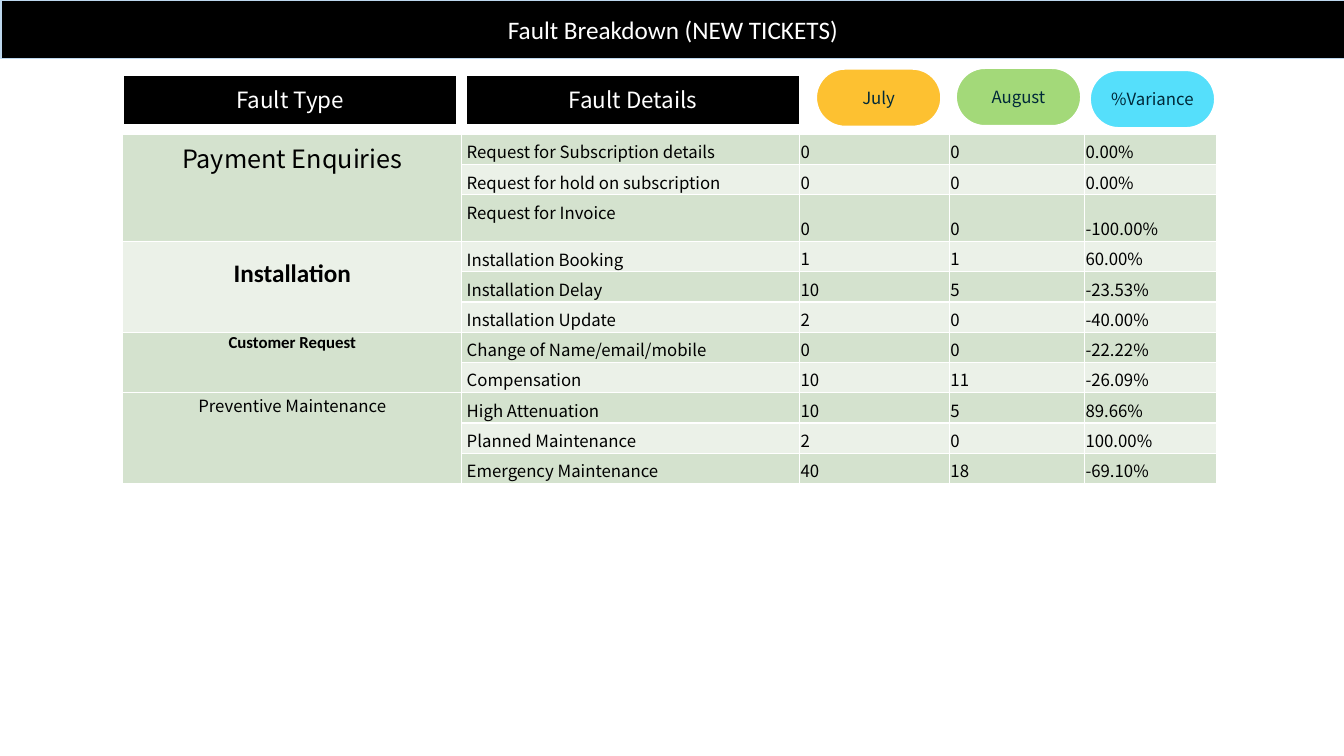
"""Build the fault breakdown slide for new tickets."""
import dataclasses
import itertools

import pptx
import pptx.dml.color
import pptx.enum.shapes
import pptx.enum.text
import pptx.oxml
import pptx.oxml.ns
import pptx.util

Pt = pptx.util.Pt
Align = pptx.enum.text.PP_ALIGN
Anchor = pptx.enum.text.MSO_ANCHOR
Preset = pptx.enum.shapes.MSO_SHAPE

COLOURS = {
    "black": "000000", "white": "FFFFFF", "title_line": "BDD7EE", "ink": "002939",
    "july": "FDC131", "august": "A3D979", "variance": "55DFFB",
    "dark_band": "D4E2CE", "light_band": "EBF1E8",
}
NOTO = "Noto Sans CJK KR"
CALIBRI = "Calibri"
COLUMN_WIDTHS = (242, 241.5, 107, 96.5, 94)
ROW_HEIGHT = 21.6
INVOICE_ROW, INVOICE_HEIGHT = 2, 29


@dataclasses.dataclass(frozen=True)
class Style:
    """Font, colour and alignment of one paragraph."""
    size: float
    face: str = NOTO
    colour: str = "black"
    bold: bool = False
    align: Align = Align.LEFT


@dataclasses.dataclass(frozen=True)
class Heading:
    """A filled shape above a table column."""
    text: str
    left: float
    top: float
    width: float
    height: float
    preset: Preset
    fill: str
    style: Style


@dataclasses.dataclass(frozen=True)
class Fault:
    """A fault type with its rows of details, July, August and variance."""
    name: str
    band: str
    style: Style
    inset: float
    rows: tuple[tuple[str, str, str, str], ...]
    anchor: Anchor = Anchor.TOP
    bottom_inset: float = 0


BAR_STYLE = Style(16, colour="white", align=Align.CENTER)
PILL_STYLE = Style(12, colour="ink", align=Align.CENTER)
BODY_STYLE = Style(12)
HEADINGS = (
    Heading("Fault Type", 87.8, 53.3, 239, 36, Preset.RECTANGLE, "black", BAR_STYLE),
    Heading("Fault Details", 332.6, 53.3, 239, 36, Preset.RECTANGLE, "black", BAR_STYLE),
    Heading("July", 582.6, 48.8, 90, 42, Preset.ROUNDED_RECTANGLE, "july", PILL_STYLE),
    Heading("August", 682.5, 48.3, 90, 42, Preset.ROUNDED_RECTANGLE, "august", PILL_STYLE),
    Heading("%Variance", 778.2, 49.8, 90, 42, Preset.ROUNDED_RECTANGLE, "variance", PILL_STYLE),
)
FAULTS = (
    Fault("Payment Enquiries", "dark_band", Style(18, align=Align.CENTER), 3.6, (
        ("Request for Subscription details", "0", "0", "0.00%"),
        ("Request for hold on subscription", "0", "0", "0.00%"),
        ("Request for Invoice", "0", "0", "-100.00%"),
    )),
    Fault("Installation", "light_band", Style(18, CALIBRI, bold=True, align=Align.CENTER), 0, (
        ("Installation Booking", "1", "1", "60.00%"),
        ("Installation Delay", "10", "5", "-23.53%"),
        ("Installation Update", "2", "0", "-40.00%"),
    ), Anchor.MIDDLE, 19),
    Fault("Customer Request", "dark_band", Style(12, CALIBRI, bold=True, align=Align.CENTER), 0, (
        ("Change of Name/email/mobile", "0", "0", "-22.22%"),
        ("Compensation", "10", "11", "-26.09%"),
    )),
    Fault("Preventive Maintenance", "dark_band", Style(12, align=Align.CENTER), 0, (
        ("High Attenuation", "10", "5", "89.66%"),
        ("Planned Maintenance", "2", "0", "100.00%"),
        ("Emergency Maintenance", "40", "18", "-69.10%"),
    )),
)


def colour(name: str) -> pptx.dml.color.RGBColor:
    """Return a named colour."""
    return pptx.dml.color.RGBColor.from_string(COLOURS[name])


def write(frame, text: str, style: Style) -> None:
    """Put one styled paragraph into a text frame."""
    para = frame.paragraphs[0]
    para.text = text
    para.alignment = style.align
    font = para.font
    font.size, font.name, font.bold = Pt(style.size), style.face, style.bold
    font.color.rgb = colour(style.colour)


def paint(shape, fill: str, line: str, width: float) -> None:
    """Fill and outline a shape."""
    shape.fill.solid()
    shape.fill.fore_color.rgb = colour(fill)
    shape.line.color.rgb = colour(line)
    shape.line.width = Pt(width)


def set_frame(frame, inset: float) -> None:
    """Centre the text of a shape vertically with equal insets."""
    frame.word_wrap = True
    frame.auto_size = pptx.enum.text.MSO_AUTO_SIZE.NONE
    frame.vertical_anchor = Anchor.MIDDLE
    frame.margin_left = frame.margin_right = frame.margin_top = frame.margin_bottom = Pt(inset)


def add_title(page) -> None:
    """Format the title placeholder as a band across the page."""
    title = page.shapes.title
    title.left, title.top, title.width, title.height = Pt(0.7), Pt(0), Pt(960), Pt(41.8)
    paint(title, "black", "title_line", 0.75)
    set_frame(title.text_frame, 3.6)
    write(title.text_frame, "Fault Breakdown (NEW TICKETS)",
          Style(18, CALIBRI, "white", align=Align.CENTER))


def add_heading(page, heading: Heading) -> None:
    """Draw one column heading."""
    box = page.shapes.add_shape(heading.preset, Pt(heading.left), Pt(heading.top),
                                Pt(heading.width), Pt(heading.height))
    if heading.preset == Preset.ROUNDED_RECTANGLE:
        box.adjustments[0] = 0.5
    box.shadow.inherit = False
    paint(box, heading.fill, "white", 2)
    set_frame(box.text_frame, 3.6)
    write(box.text_frame, heading.text, heading.style)


def format_cell(cell, band: str, inset: float, anchor: Anchor, bottom_inset: float = 0) -> None:
    """Set fill, insets, anchor and white borders of a table cell."""
    cell.fill.solid()
    cell.fill.fore_color.rgb = colour(band)
    cell.margin_left = cell.margin_right = cell.margin_top = Pt(inset)
    cell.margin_bottom = Pt(bottom_inset or inset)
    cell.vertical_anchor = anchor
    properties = cell._tc.get_or_add_tcPr()
    for place, side in enumerate(("lnL", "lnR", "lnT", "lnB")):
        properties.insert(place, pptx.oxml.parse_xml(
            f'<a:{side} {pptx.oxml.ns.nsdecls("a")} w="{Pt(1)}"><a:solidFill>'
            f'<a:srgbClr val="{COLOURS["white"]}"/></a:solidFill></a:{side}>'))


def add_fault_table(page) -> None:
    """Draw the table of faults with merged fault types."""
    count = sum(len(fault.rows) for fault in FAULTS)
    table = page.shapes.add_table(count, len(COLUMN_WIDTHS), Pt(87.8), Pt(96),
                                  Pt(sum(COLUMN_WIDTHS)), Pt(ROW_HEIGHT * count)).table
    table.first_row = table.horz_banding = False
    for column, width in zip(table.columns, COLUMN_WIDTHS):
        column.width = Pt(width)
    for index, row in enumerate(table.rows):
        row.height = Pt(INVOICE_HEIGHT if index == INVOICE_ROW else ROW_HEIGHT)
    bands = itertools.cycle(("dark_band", "light_band"))
    index = 0
    for fault in FAULTS:
        first = index
        for values in fault.rows:
            band = next(bands)
            format_cell(table.cell(index, 0), fault.band, fault.inset, fault.anchor,
                        fault.bottom_inset if index == first else 0)
            for column, value in enumerate(values, 1):
                cell = table.cell(index, column)
                if column == 1:
                    format_cell(cell, band, 3.6, Anchor.TOP, 0.5)
                else:
                    format_cell(cell, band, 0.7, Anchor.BOTTOM)
                write(cell.text_frame, value, BODY_STYLE)
            index += 1
        table.cell(first, 0).merge(table.cell(index - 1, 0))
        write(table.cell(first, 0).text_frame, fault.name, fault.style)


def main() -> None:
    """Build and save the deck."""
    deck = pptx.Presentation()
    deck.slide_width, deck.slide_height = Pt(960), Pt(540)
    page = deck.slides.add_slide(deck.slide_layouts[5])
    add_title(page)
    add_fault_table(page)
    for heading in HEADINGS:
        add_heading(page, heading)
    deck.save("out.pptx")


if __name__ == "__main__":
    main()
